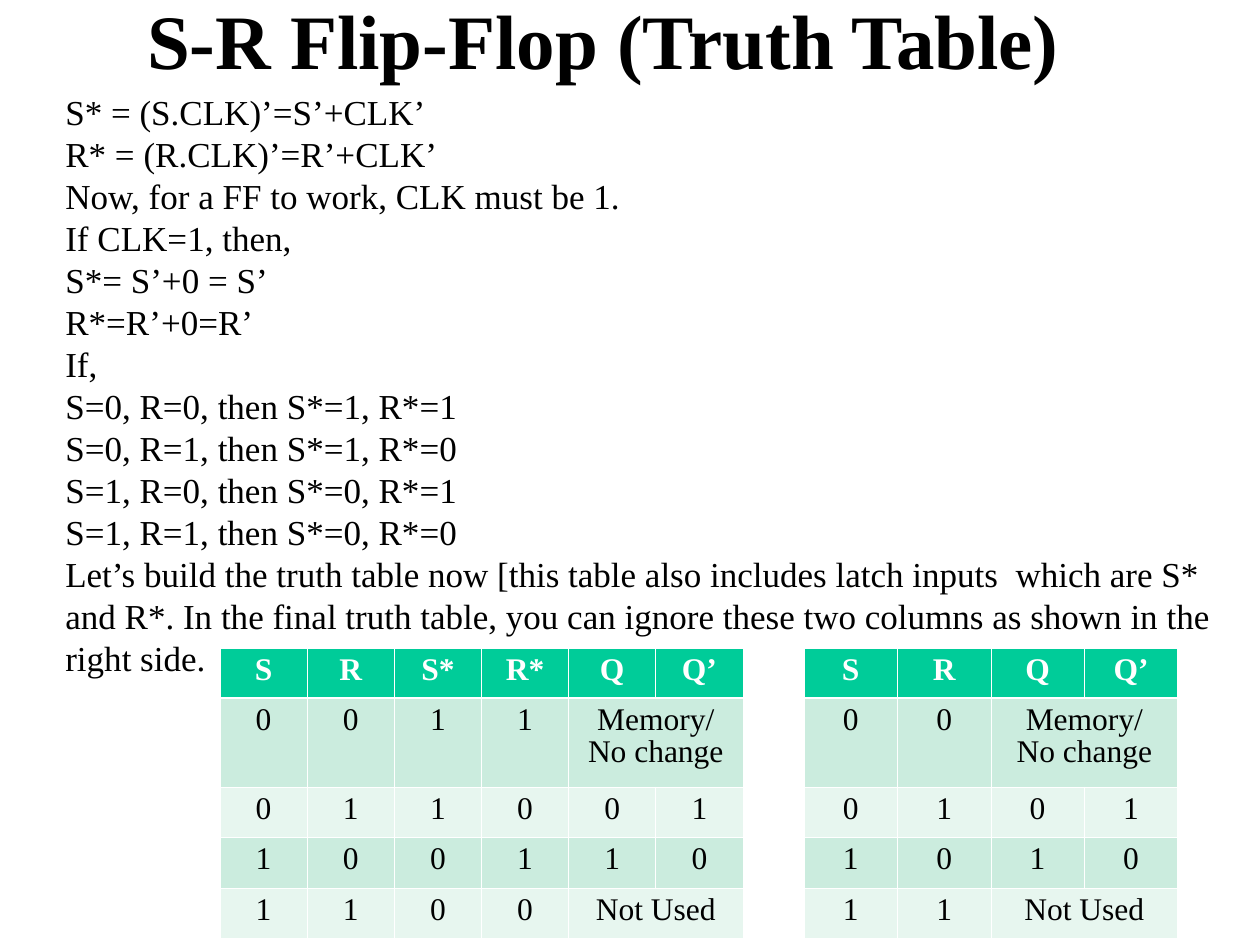
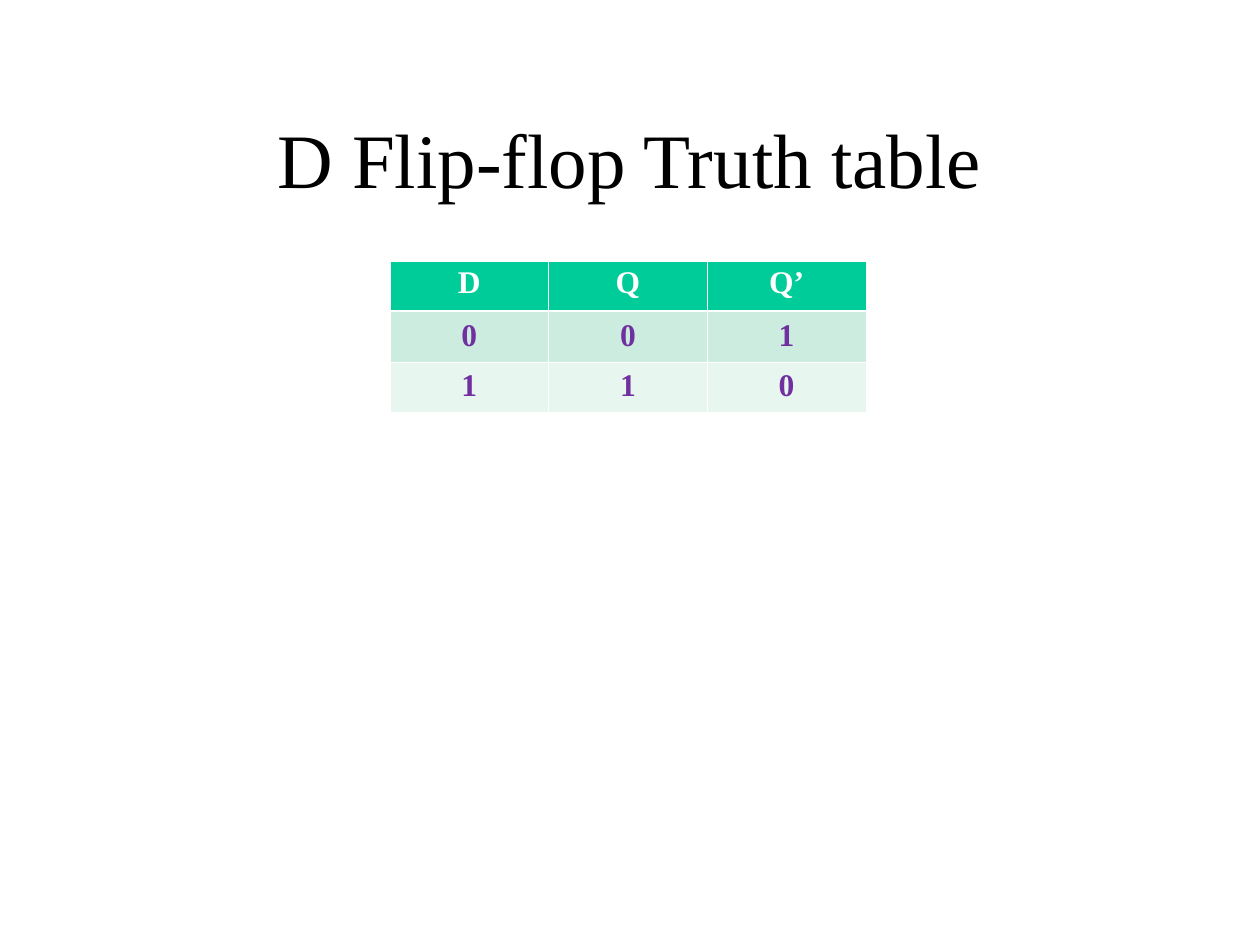
from dataclasses import dataclass

from lxml import etree
from pptx import Presentation
from pptx.dml.color import RGBColor
from pptx.enum.text import MSO_ANCHOR, PP_ALIGN
from pptx.oxml.ns import qn
from pptx.slide import Slide
from pptx.table import _Cell
from pptx.text.text import _Paragraph
from pptx.util import Emu, Length, Pt

CENTER, LEFT = PP_ALIGN.CENTER, PP_ALIGN.LEFT
MIDDLE, TOP = MSO_ANCHOR.MIDDLE, MSO_ANCHOR.TOP
EMU_PER_PX = 914400 // 126
BLANK_LAYOUT = 6


@dataclass(frozen=True)
class Theme:
    font: str = "Times New Roman"
    text: str = "000000"
    header_text: str = "FFFFFF"
    accent_text: str = "7030A0"
    header_fill: str = "00CC99"
    bands: tuple[str, str] = ("CBECDE", "E7F6EF")
    border: str = "FFFFFF"
    thin_border: float = 0.45
    thick_border: float = 1.47
    title_size: int = 44
    body_size: int = 20
    table_size: int = 18
    tight_spacing: float = 0.93
    body_spacing: Length = Pt(24)


THEME = Theme()


@dataclass(frozen=True)
class Box:
    left: int
    top: int
    width: int
    height: int

    def emu(self) -> tuple[Length, ...]:
        return tuple(px(side) for side in (self.left, self.top, self.width, self.height))


@dataclass(frozen=True)
class TextStyle:
    size: int
    color: str = THEME.text
    bold: bool = False
    align: PP_ALIGN = CENTER
    spacing: float | Length = THEME.tight_spacing


@dataclass(frozen=True)
class TruthTable:
    """The last entry of a short row spans the columns that remain."""
    left: int
    top: int
    width: int
    row_heights: tuple[int, ...]
    rows: tuple[tuple[str, ...], ...]
    body_style: TextStyle
    body_anchor: MSO_ANCHOR = TOP


TITLE = TextStyle(THEME.title_size)
BOLD_TITLE = TextStyle(THEME.title_size, bold=True)
BODY = TextStyle(THEME.body_size, align=LEFT, spacing=THEME.body_spacing)
TABLE_HEADER = TextStyle(THEME.table_size, THEME.header_text, bold=True)
TABLE_BODY = TextStyle(THEME.table_size)
TABLE_ACCENT = TextStyle(THEME.table_size, THEME.accent_text, bold=True)

SR_DERIVATION = (
    "S* = (S.CLK)’=S’+CLK’",
    "R* = (R.CLK)’=R’+CLK’",
    "Now, for a FF to work, CLK must be 1.",
    "If CLK=1, then,",
    "S*= S’+0 = S’",
    "R*=R’+0=R’",
    "If,",
    "S=0, R=0, then S*=1, R*=1",
    "S=0, R=1, then S*=1, R*=0",
    "S=1, R=0, then S*=0, R*=1",
    "S=1, R=1, then S*=0, R*=0",
    "Let’s build the truth table now [this table also includes latch inputs  which are S* "
    "and R*. In the final truth table, you can ignore these two columns as shown in the "
    "right side.",
)
SR_ROWS = (
    ("S", "R", "S*", "R*", "Q", "Q’"),
    ("0", "0", "1", "1", "Memory/ No change"),
    ("0", "1", "1", "0", "0", "1"),
    ("1", "0", "0", "1", "1", "0"),
    ("1", "1", "0", "0", "Not Used"),
)
SR_ROWS_WITHOUT_LATCH = tuple(row[:2] + row[4:] for row in SR_ROWS)
SR_ROW_HEIGHTS = (50, 89, 50, 51, 50)
D_ROWS = (("D", "Q", "Q’"), ("0", "0", "1"), ("1", "1", "0"))


def px(length: int) -> Length:
    return Emu(length * EMU_PER_PX)


def style_paragraph(paragraph: _Paragraph, style: TextStyle) -> None:
    paragraph.alignment = style.align
    paragraph.line_spacing = style.spacing
    font = paragraph.font
    font.name = THEME.font
    font.size = Pt(style.size)
    font.bold = style.bold
    font.color.rgb = RGBColor.from_string(style.color)


def add_text(slide: Slide, box: Box, lines: tuple[str, ...], style: TextStyle,
             anchor: MSO_ANCHOR = TOP, vertical_inset: int = 6) -> None:
    frame = slide.shapes.add_textbox(*box.emu()).text_frame
    frame.word_wrap = True
    frame.vertical_anchor = anchor
    frame.margin_top = frame.margin_bottom = px(vertical_inset)
    frame.text = "\n".join(lines)
    for paragraph in frame.paragraphs:
        style_paragraph(paragraph, style)


def add_title(slide: Slide, box: Box, title: str, style: TextStyle) -> None:
    add_text(slide, box, (title,), style, MIDDLE, vertical_inset=0)


def add_borders(cell: _Cell, row_index: int) -> None:
    """Draw thin edges, with a thick one between the header and the first row."""
    properties = cell._tc.get_or_add_tcPr()
    thick_edge = {0: "lnB", 1: "lnT"}.get(row_index)
    for edge in ("lnL", "lnR", "lnT", "lnB"):
        width = THEME.thick_border if edge == thick_edge else THEME.thin_border
        line = etree.SubElement(properties, qn(f"a:{edge}"), w=str(Pt(width)))
        fill = etree.SubElement(line, qn("a:solidFill"))
        etree.SubElement(fill, qn("a:srgbClr"), val=THEME.border)


def add_truth_table(slide: Slide, truth: TruthTable) -> None:
    column_count = len(truth.rows[0])
    box = Box(truth.left, truth.top, truth.width, sum(truth.row_heights))
    table = slide.shapes.add_table(len(truth.rows), column_count, *box.emu()).table
    table.horz_banding = False
    for row, height in zip(table.rows, truth.row_heights):
        row.height = px(height)

    for row_index, entries in enumerate(truth.rows):
        is_header = row_index == 0
        color = THEME.header_fill if is_header else THEME.bands[(row_index - 1) % 2]
        for column_index in range(column_count):
            cell = table.cell(row_index, column_index)
            add_borders(cell, row_index)
            cell.fill.solid()
            cell.fill.fore_color.rgb = RGBColor.from_string(color)
        if len(entries) < column_count:
            last_cell = table.cell(row_index, column_count - 1)
            table.cell(row_index, len(entries) - 1).merge(last_cell)
        for column_index, entry in enumerate(entries):
            cell = table.cell(row_index, column_index)
            cell.text = entry
            cell.vertical_anchor = TOP if is_header else truth.body_anchor
            style = TABLE_HEADER if is_header else truth.body_style
            style_paragraph(cell.text_frame.paragraphs[0], style)


def build_sr_slide(slide: Slide) -> None:
    add_title(slide, Box(68, 3, 1071, 82), "S-R Flip-Flop (Truth Table)", BOLD_TITLE)
    add_text(slide, Box(53, 84, 1187, 601), SR_DERIVATION, BODY)
    for left, width, rows in ((220, 523, SR_ROWS), (804, 374, SR_ROWS_WITHOUT_LATCH)):
        add_truth_table(slide, TruthTable(left, 648, width, SR_ROW_HEIGHTS, rows, TABLE_BODY))


def build_d_slide(slide: Slide) -> None:
    add_title(slide, Box(94, 84, 1071, 158), "D Flip-flop Truth table", TITLE)
    add_truth_table(slide, TruthTable(390, 261, 476, (50, 51, 50), D_ROWS,
                                      TABLE_ACCENT, MIDDLE))


def main() -> None:
    presentation = Presentation()
    presentation.slide_width = px(1260)
    presentation.slide_height = px(945)
    for build_slide in (build_sr_slide, build_d_slide):
        build_slide(presentation.slides.add_slide(presentation.slide_layouts[BLANK_LAYOUT]))
    presentation.save("out.pptx")


if __name__ == "__main__":
    main()
